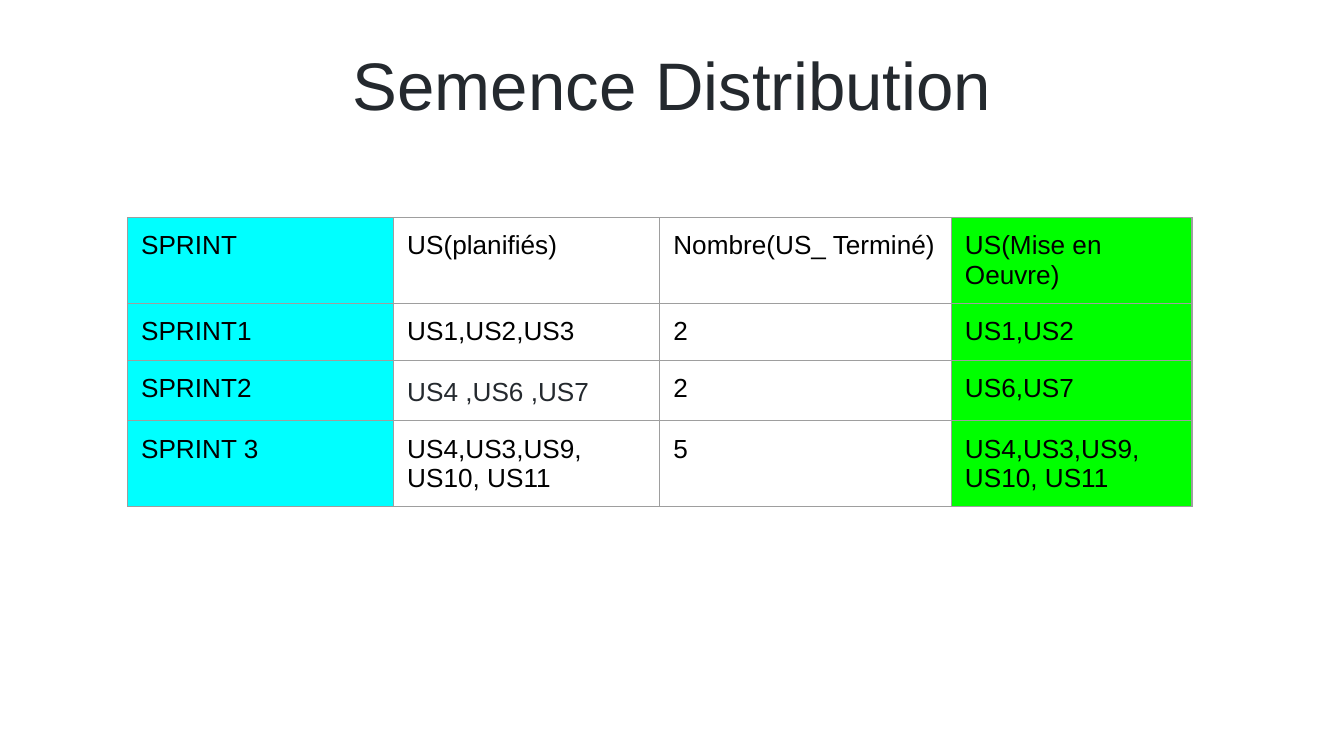
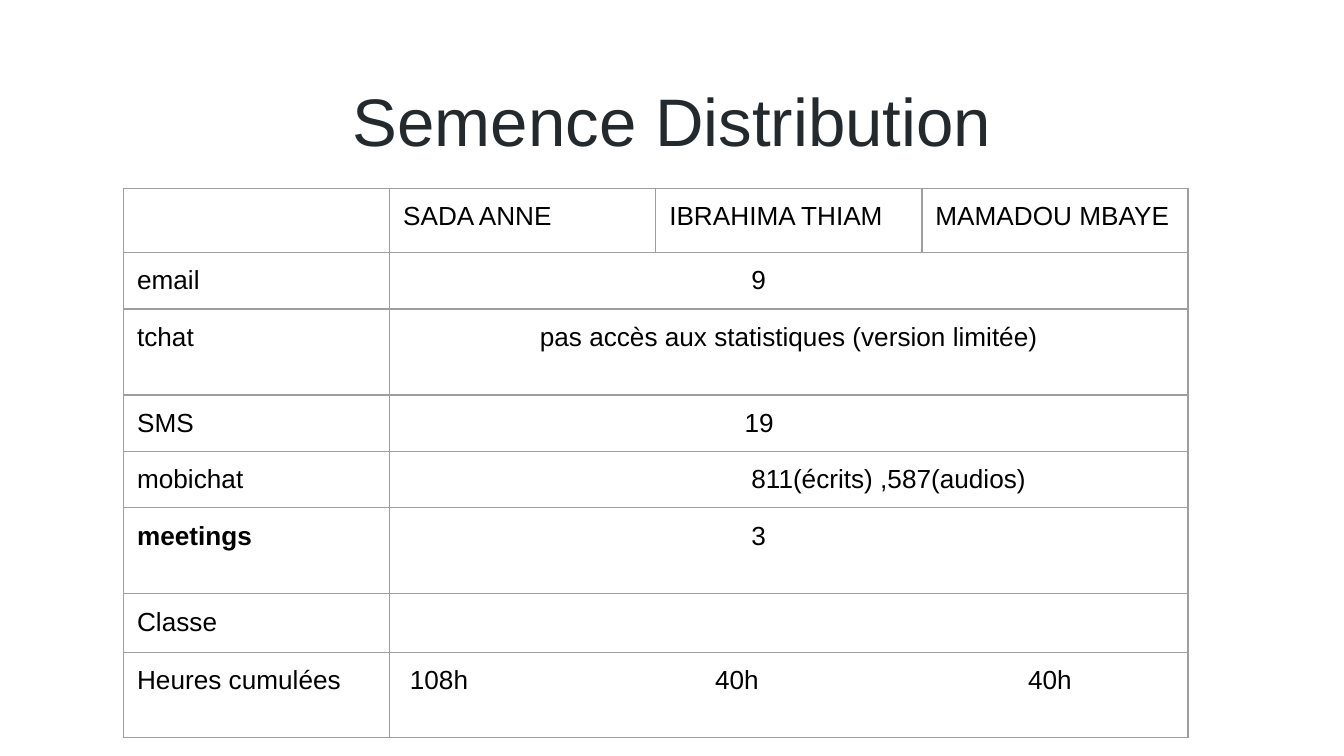
from lxml import etree
from pptx import Presentation
from pptx import util as u
from pptx.dml.color import RGBColor
from pptx.enum import text
from pptx.oxml import ns

FONT = "Arial"
INK, BLACK, BORDER = "24292E", "000000", "9E9E9E"
CYAN, GREEN = "00FFFF", "00FF00"
INSET = u.Inches(0.1)
CELL_SIZE = 14
TITLE = "Semence Distribution"


def rgb(value):
    """Turn a hex string into a colour."""
    return RGBColor.from_string(value)


def add_run(p, words, size, color, bold=False):
    """Add one formatted run to a paragraph."""
    r = p.add_run()
    r.text = words
    r.font.name = FONT
    r.font.size = u.Pt(size)
    r.font.bold = bold
    r.font.color.rgb = rgb(color)


def add_slide(prs, top, height):
    """Add a title-only slide with its title set at the given height."""
    s = prs.slides.add_slide(prs.slide_layouts[5])
    sp = s.shapes.title
    sp.left, sp.top = u.Inches(0.34), u.Inches(top)
    sp.width, sp.height = u.Inches(9.32), u.Inches(height)
    tf = sp.text_frame
    tf.margin_left = tf.margin_right = tf.margin_top = tf.margin_bottom = INSET
    tf.vertical_anchor = text.MSO_ANCHOR.TOP
    tf.auto_size = text.MSO_AUTO_SIZE.NONE
    tf.word_wrap = True
    p = tf.paragraphs[0]
    p.alignment = text.PP_ALIGN.CENTER
    add_run(p, TITLE, 36, INK)
    return s


def format_cell(cell, fill=None):
    """Give a cell its borders, margins, fill and base text size."""
    tc_pr = cell._tc.get_or_add_tcPr()
    for side in ("a:lnL", "a:lnR", "a:lnT", "a:lnB"):
        ln = etree.SubElement(tc_pr, ns.qn(side), w=str(u.Pt(0.75)))
        solid = etree.SubElement(ln, ns.qn("a:solidFill"))
        etree.SubElement(solid, ns.qn("a:srgbClr"), val=BORDER)
    cell.margin_left = cell.margin_right = INSET
    cell.margin_top = cell.margin_bottom = INSET
    if fill:
        cell.fill.solid()
        cell.fill.fore_color.rgb = rgb(fill)
    else:
        cell.fill.background()
    p = cell.text_frame.paragraphs[0]
    etree.SubElement(p._p, ns.qn("a:endParaRPr"), sz=str(CELL_SIZE * 100))


def write_cell(cell, words, color=BLACK, bold=False):
    """Write one paragraph per line of text."""
    tf = cell.text_frame
    for i, line in enumerate(words.splitlines()):
        p = tf.add_paragraph() if i else tf.paragraphs[0]
        add_run(p, line, CELL_SIZE, color, bold)


def add_table(s, left, top, widths, heights, fills):
    """Add a plain bordered table with a fill for each column."""
    frame = s.shapes.add_table(
        len(heights), len(widths), u.Inches(left), u.Inches(top),
        u.Inches(sum(widths)), u.Inches(sum(heights)))
    table = frame.table
    table.first_row = table.horz_banding = False
    for column, width in zip(table.columns, widths):
        column.width = u.Inches(width)
    for row, height in zip(table.rows, heights):
        row.height = u.Inches(height)
        for cell, fill in zip(row.cells, fills):
            format_cell(cell, fill)
    return table


def set_indent(p, inches):
    """Indent a paragraph from the left."""
    p._p.get_or_add_pPr().set("marL", str(u.Inches(inches)))


def set_tabs(p, stops):
    """Set left tab stops, in inches."""
    tabs = etree.SubElement(p._p.get_or_add_pPr(), ns.qn("a:tabLst"))
    for stop in stops:
        etree.SubElement(tabs, ns.qn("a:tab"), pos=str(u.Inches(stop)), algn="l")


def build_sprints(prs):
    """Build the slide of stories planned and done in each sprint."""
    s = add_slide(prs, 0.22, 0.79)
    late = "US4,US3,US9,\nUS10, US11"
    rows = [
        ("SPRINT", "US(planifiés)", "Nombre(US_ Terminé)", "US(Mise en Oeuvre)"),
        ("SPRINT1", "US1,US2,US3", "2", "US1,US2"),
        ("SPRINT2", "US4 ,US6 ,US7", "2", "US6,US7"),
        ("SPRINT 3", late, "5", late),
    ]
    table = add_table(s, 0.95, 1.62, (1.98, 1.98, 2.17, 1.79),
                      (0.64, 0.42, 0.45, 0.63), (CYAN, None, None, GREEN))
    spaced = (2, 1)
    for i, row in enumerate(rows):
        for j, words in enumerate(row):
            color = INK if (i, j) == spaced else BLACK
            write_cell(table.cell(i, j), words, color)
    p = table.cell(*spaced).text_frame.paragraphs[0]
    p.line_spacing = 1.15
    p.space_after = u.Pt(12)


def build_exchanges(prs):
    """Build the slide of exchanges and hours of the team."""
    s = add_slide(prs, 0.49, 0.63)
    names = ("SADA ANNE", "IBRAHIMA THIAM", "MAMADOU MBAYE")
    rows = [
        ("email", "9", 2.59, 0.42),
        ("tchat", "pas accès aux statistiques (version limitée)", None, 0.64),
        ("SMS", "19", 2.54, 0.42),
        ("mobichat", "811(écrits) ,587(audios)", 2.59, 0.42),
        ("meetings", "3", 2.59, 0.64),
        ("Classe", "", 0, 0.42),
        ("Heures cumulées", "\t108h\t40h\t40h", 0, 0.63),
    ]
    heights = [0.48] + [row[-1] for row in rows]
    table = add_table(s, 0.92, 1.4, [1.98] * 4, heights, [None] * 4)
    for j, name in enumerate(names, 1):
        write_cell(table.cell(0, j), name)
    for i, (label, value, indent, _) in enumerate(rows, 1):
        write_cell(table.cell(i, 0), label, bold=label == "meetings")
        cell = table.cell(i, 1)
        cell.merge(table.cell(i, 3))
        write_cell(cell, value)
        p = cell.text_frame.paragraphs[0]
        if indent is None:
            p.alignment = text.PP_ALIGN.CENTER
        elif indent:
            set_indent(p, indent)
    set_tabs(p, (0.05, 2.32, 4.65))


def main():
    """Build and save the presentation."""
    prs = Presentation()
    prs.slide_width = u.Inches(10)
    prs.slide_height = prs.slide_width * 9 // 16
    build_sprints(prs)
    build_exchanges(prs)
    prs.save("out.pptx")


if __name__ == "__main__":
    main()
